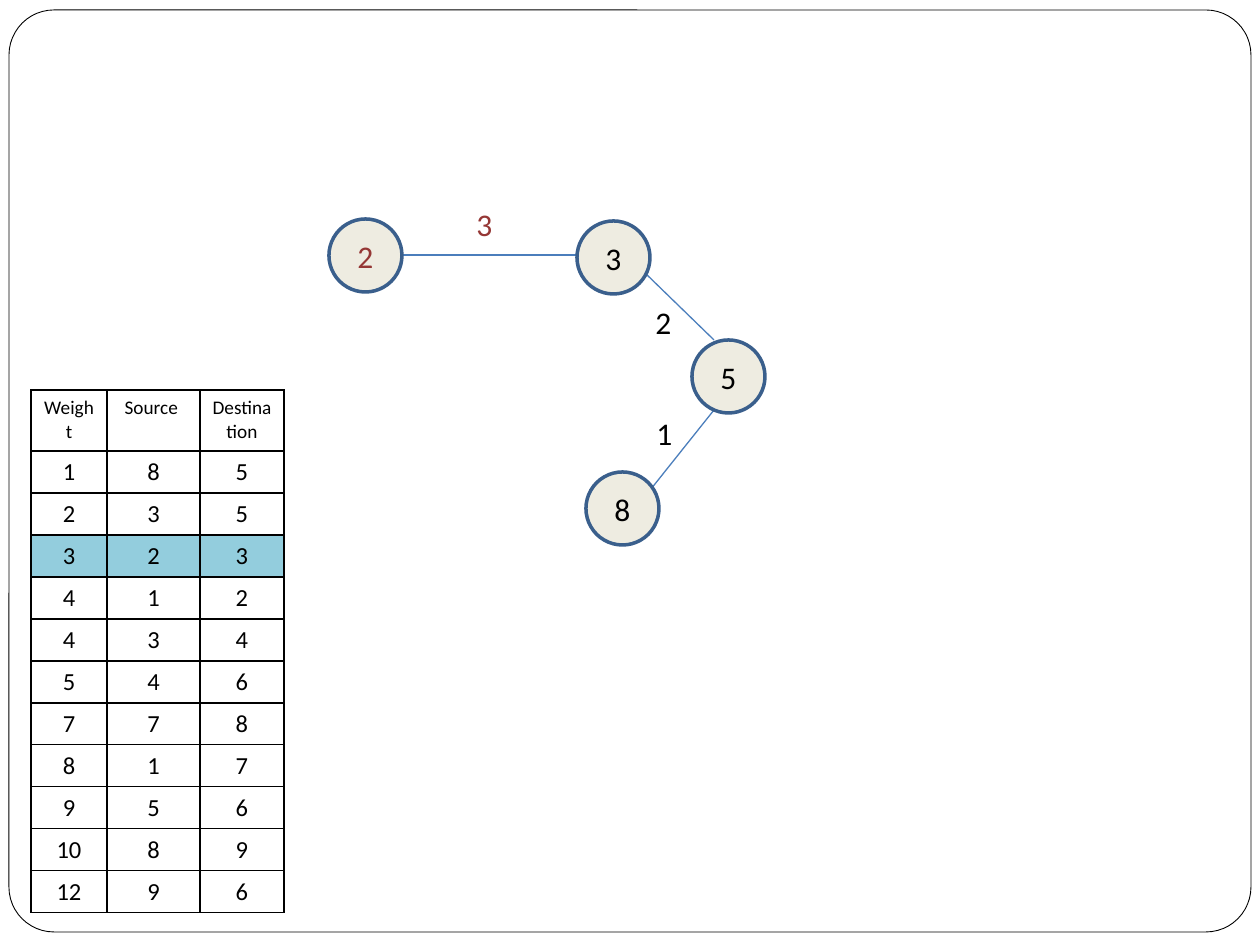
"""Build a slide showing a minimum spanning tree step beside its sorted edge table."""
from typing import NamedTuple

from lxml import etree
from pptx import Presentation
from pptx.dml.color import RGBColor
from pptx.enum.shapes import MSO_CONNECTOR, MSO_SHAPE
from pptx.enum.text import MSO_ANCHOR, PP_ALIGN
from pptx.oxml.ns import qn
from pptx.util import Emu, Pt

STRAIGHT = MSO_CONNECTOR.STRAIGHT
ELLIPSE = MSO_SHAPE.OVAL
ROUNDED = MSO_SHAPE.ROUNDED_RECTANGLE
MIDDLE = MSO_ANCHOR.MIDDLE
TOP = MSO_ANCHOR.TOP
CENTER = PP_ALIGN.CENTER
LEFT = PP_ALIGN.LEFT

BLACK = RGBColor(0x00, 0x00, 0x00)
RED = RGBColor(0x95, 0x37, 0x35)
CREAM = RGBColor(0xEE, 0xEC, 0xE1)
NODE_BLUE = RGBColor(0x3A, 0x5F, 0x8C)
EDGE_BLUE = RGBColor(0x4B, 0x7E, 0xBC)
HIGHLIGHT = RGBColor(0x93, 0xCD, 0xDD)

FONT = "Calibri"
EMU_PER_PX = 914400 / 126
PAGE_WIDTH, PAGE_HEIGHT = 1260, 945
FRAME_LEFT, FRAME_TOP, FRAME_WIDTH, FRAME_HEIGHT = 9, 10, 1242, 922
FRAME_RADIUS = 45
NODE_SIZE = 73
LABEL_WIDTH, LABEL_HEIGHT = 39, 50
TABLE_LEFT, TABLE_TOP = 31, 390
COLUMN_WIDTHS = (76, 93, 84)
HEADER_HEIGHT, ROW_HEIGHT = 61, 42
CELL_MARGIN = 5
CURRENT_ROW = 3


class Node(NamedTuple):
    name: str
    left: int
    top: int
    color: RGBColor = BLACK


class Edge(NamedTuple):
    weight: str
    start: tuple[int, int]
    end: tuple[int, int]
    label: tuple[int, int]
    color: RGBColor = BLACK


NODES = (
    Node("8", 586, 472),
    Node("5", 692, 340),
    Node("3", 577, 221),
    Node("2", 329, 219, RED),
)
EDGES = (
    Edge("1", (651, 489), (714, 410), (644, 408)),
    Edge("2", (714, 340), (644, 272), (643, 297)),
    Edge("3", (402, 255), (577, 255), (464, 199), RED),
)
ROWS = (
    ("Weight", "Source ", "Destination"),
    (1, 8, 5),
    (2, 3, 5),
    (3, 2, 3),
    (4, 1, 2),
    (4, 3, 4),
    (5, 4, 6),
    (7, 7, 8),
    (8, 1, 7),
    (9, 5, 6),
    (10, 8, 9),
    (12, 9, 6),
)


def px(length: int) -> Emu:
    """Turn pixels into EMU."""
    return Emu(round(length * EMU_PER_PX))


def write(frame, text: str, *, size: int = 18, color: RGBColor = BLACK,
          align: PP_ALIGN = CENTER, anchor: MSO_ANCHOR = MIDDLE) -> None:
    """Fill a text frame with one formatted paragraph."""
    frame.word_wrap = True
    frame.vertical_anchor = anchor
    para = frame.paragraphs[0]
    para.alignment = align
    span = para.add_run()
    span.text = text
    span.font.name = FONT
    span.font.size = Pt(size)
    span.font.color.rgb = color


def draw_frame(page) -> None:
    """Draw the rounded outline around the page."""
    frame = page.shapes.add_shape(ROUNDED, px(FRAME_LEFT), px(FRAME_TOP),
                                  px(FRAME_WIDTH), px(FRAME_HEIGHT))
    frame.adjustments[0] = FRAME_RADIUS / FRAME_HEIGHT
    frame.shadow.inherit = False
    frame.fill.background()
    frame.line.color.rgb = BLACK
    frame.line.width = Pt(0.5)


def draw_edge(page, edge: Edge) -> None:
    """Draw a graph edge and its weight."""
    line = page.shapes.add_connector(STRAIGHT, *map(px, edge.start + edge.end))
    line.line.color.rgb = EDGE_BLUE
    line.line.width = Pt(0.75)
    etree.SubElement(line._element.spPr, qn("a:effectLst"))
    box = page.shapes.add_textbox(*map(px, edge.label), px(LABEL_WIDTH), px(LABEL_HEIGHT))
    write(box.text_frame, edge.weight, color=edge.color, align=LEFT, anchor=TOP)


def draw_node(page, node: Node) -> None:
    """Draw a numbered graph node."""
    circle = page.shapes.add_shape(ELLIPSE, px(node.left), px(node.top),
                                   px(NODE_SIZE), px(NODE_SIZE))
    circle.shadow.inherit = False
    circle.fill.solid()
    circle.fill.fore_color.rgb = CREAM
    circle.line.color.rgb = NODE_BLUE
    circle.line.width = Pt(2)
    write(circle.text_frame, node.name, color=node.color)


def set_borders(cell) -> None:
    """Give a cell thin black borders ahead of its fill."""
    properties = cell._tc.get_or_add_tcPr()
    for position, side in enumerate(("lnL", "lnR", "lnT", "lnB")):
        border = etree.Element(qn(f"a:{side}"), w=str(Pt(1)))
        fill = etree.SubElement(border, qn("a:solidFill"))
        etree.SubElement(fill, qn("a:srgbClr"), val=str(BLACK))
        properties.insert(position, border)


def draw_table(page) -> None:
    """Draw the edge table with the current edge highlighted."""
    height = HEADER_HEIGHT + ROW_HEIGHT * (len(ROWS) - 1)
    table = page.shapes.add_table(len(ROWS), len(COLUMN_WIDTHS), px(TABLE_LEFT), px(TABLE_TOP),
                                  px(sum(COLUMN_WIDTHS)), px(height)).table
    table.first_row = False
    table.horz_banding = False
    for column, width in zip(table.columns, COLUMN_WIDTHS):
        column.width = px(width)
    for index, values in enumerate(ROWS):
        table.rows[index].height = px(ROW_HEIGHT if index else HEADER_HEIGHT)
        for column_index, value in enumerate(values):
            cell = table.cell(index, column_index)
            cell.margin_bottom = px(CELL_MARGIN)
            if index == CURRENT_ROW:
                cell.fill.solid()
                cell.fill.fore_color.rgb = HIGHLIGHT
            else:
                cell.fill.background()
            set_borders(cell)
            write(cell.text_frame, str(value), size=14 if index else 11, anchor=TOP)


def main() -> None:
    """Create and save the deck."""
    deck = Presentation()
    deck.slide_width, deck.slide_height = px(PAGE_WIDTH), px(PAGE_HEIGHT)
    page = deck.slides.add_slide(deck.slide_layouts[6])
    draw_frame(page)
    for edge in EDGES:
        draw_edge(page, edge)
    for node in NODES:
        draw_node(page, node)
    draw_table(page)
    deck.save("out.pptx")


if __name__ == "__main__":
    main()
